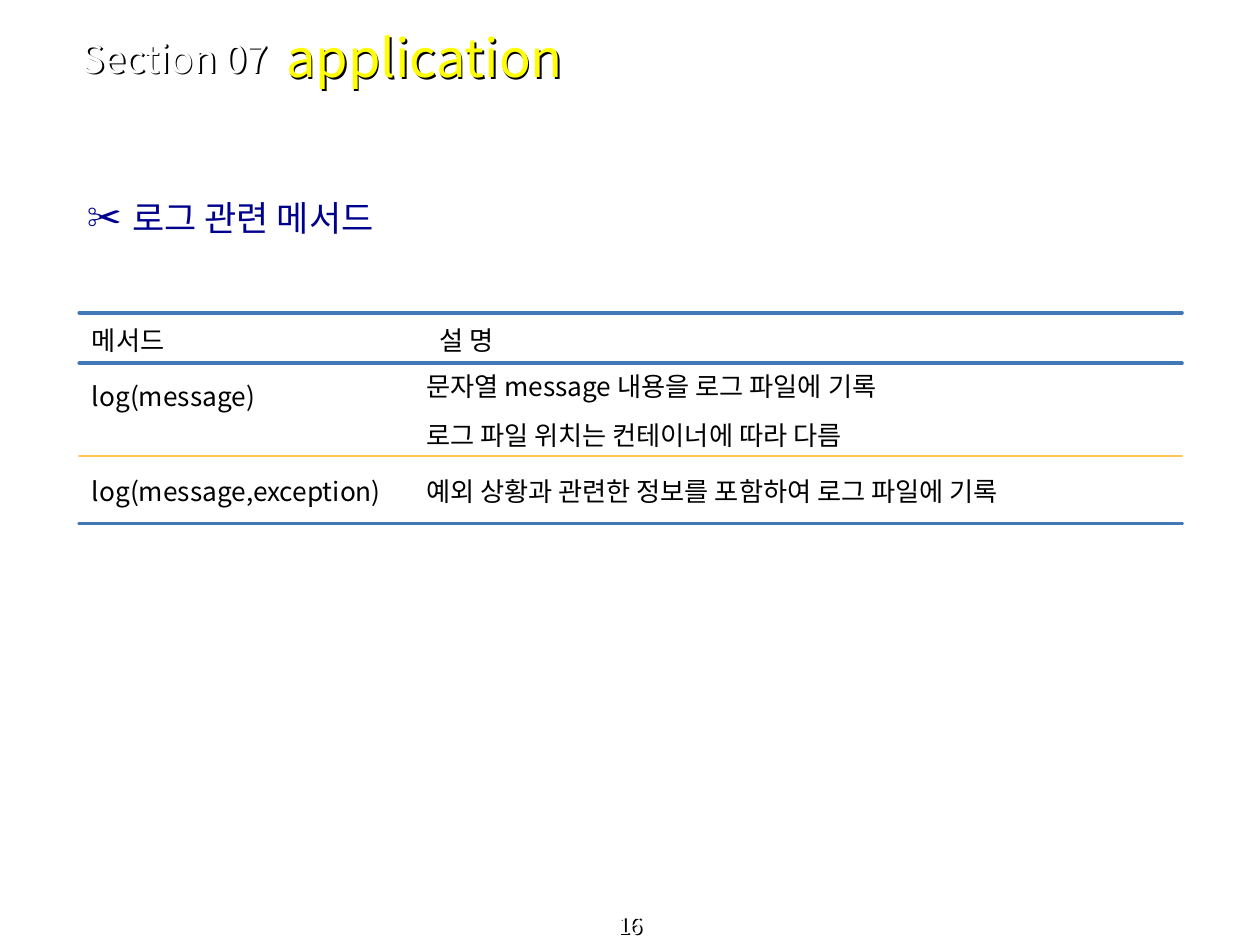
"""Builds a slide listing the log methods of the application object."""
from pptx import Presentation
from pptx.dml.color import RGBColor
from pptx.enum.shapes import MSO_CONNECTOR
from pptx.enum.text import MSO_ANCHOR, MSO_AUTO_SIZE, PP_ALIGN
from pptx.oxml.ns import qn
from pptx.util import Inches, Pt
from lxml import etree

TOP, MIDDLE, BOTTOM = MSO_ANCHOR.TOP, MSO_ANCHOR.MIDDLE, MSO_ANCHOR.BOTTOM
LEFT, CENTER = PP_ALIGN.LEFT, PP_ALIGN.CENTER
FIXED = MSO_AUTO_SIZE.NONE
STRAIGHT = MSO_CONNECTOR.STRAIGHT
WIDTH, HEIGHT = 10, 7.5
COLORS = {"white": "FFFFFF", "yellow": "FFFF00", "navy": "00008E",
          "black": "000000", "rule": "4378B6", "divider": "FFC551"}
SANS, NARROW = "Noto Sans CJK KR", "Arial Narrow"
PLAIN_TABLE = "{2D5ABB26-0587-4C30-8999-92F81FD0307C}"


def add_element(parent, tag, **attributes):
    return etree.SubElement(parent, qn(tag), attributes)


class SlideBuilder:
    """Holds the style and the current slide; lengths are shares of the slide."""

    def __init__(self, deck):
        self.slide = deck.slides.add_slide(deck.slide_layouts[1])

    def box(self, share):
        left, top, width, height = share
        return (Inches(left * WIDTH), Inches(top * HEIGHT),
                Inches(width * WIDTH), Inches(height * HEIGHT))

    def place(self, holder, share):
        holder.left, holder.top, holder.width, holder.height = self.box(share)

    def cast_shadow(self, holder):
        effects = add_element(holder._element.spPr, "a:effectLst")
        shadow = add_element(effects, "a:outerShdw", dist="17961", dir="2700000")
        add_element(shadow, "a:srgbClr", val=COLORS["black"])

    def format_runs(self, paragraph, size, color, font=SANS):
        for run in paragraph.runs:
            run.font.size = Pt(size)
            run.font.color.rgb = RGBColor.from_string(COLORS[color])
            run.font.name = font
            properties = run._r.get_or_add_rPr()
            properties.set("kern", "0")
            add_element(properties, "a:ea", typeface=font)

    def fill_frame(self, frame, text, size, color, anchor=MIDDLE, align=LEFT):
        frame.text = text
        frame.word_wrap = True
        frame.auto_size = FIXED
        frame.vertical_anchor = anchor
        paragraph = frame.paragraphs[0]
        paragraph.alignment = align
        self.format_runs(paragraph, size, color)
        return paragraph

    def title(self, text, share):
        heading = self.slide.shapes.title
        self.place(heading, share)
        self.fill_frame(heading.text_frame, text, 30, "yellow")
        heading.fill.background()
        self.cast_shadow(heading)

    def label(self, text, share, size, **layout):
        caption = self.slide.shapes.add_textbox(*self.box(share))
        self.fill_frame(caption.text_frame, text, size, "white", **layout)
        self.cast_shadow(caption)

    def topic(self, text, share, bullet):
        body = self.slide.placeholders[1]
        self.place(body, share)
        paragraph = self.fill_frame(body.text_frame, text, 20, "navy", TOP)
        paragraph.line_spacing = 2
        paragraph.space_before = Pt(0)
        properties = paragraph._p.get_or_add_pPr()
        properties.set("marL", str(Inches(0.46)))
        properties.set("indent", str(Inches(-0.36)))
        color = add_element(properties, "a:buClr")
        add_element(color, "a:srgbClr", val=COLORS["navy"])
        add_element(properties, "a:buChar", char=bullet)

    def rule(self, left, right, height, color, weight):
        x_start, x_end, y = Inches(left * WIDTH), Inches(right * WIDTH), Inches(height * HEIGHT)
        line = self.slide.shapes.add_connector(STRAIGHT, x_start, y, x_end, y)
        line.line.color.rgb = RGBColor.from_string(COLORS[color])
        line.line.width = Pt(weight)
        line.line._get_or_add_ln().set("cap", "rnd")
        add_element(line._element.spPr, "a:effectLst")

    def cell(self, cell, text, font, anchor, inset, drop):
        cell.text = text
        cell.vertical_anchor = anchor
        cell.margin_left, cell.margin_right = Inches(inset), Inches(0.1)
        cell.margin_top, cell.margin_bottom = Inches(drop), 0
        for index, paragraph in enumerate(cell.text_frame.paragraphs):
            paragraph.space_before = Pt(6 if index else 0)
            self.format_runs(paragraph, 15, "black", font)
        cell.fill.background()

    def table(self, rows, share, columns, heights, rules):
        left, top, width, height = share
        frame = self.slide.shapes.add_table(len(rows), len(columns), *self.box(share))
        methods = frame.table
        methods.first_row = methods.horz_banding = False
        methods._tbl.tblPr.find(qn("a:tableStyleId")).text = PLAIN_TABLE
        for column, part in zip(methods.columns, columns):
            column.width = Inches(part * width * WIDTH)
        for row, part in zip(methods.rows, heights):
            row.height = Inches(part * height * HEIGHT)
        for row, texts in enumerate(rows):
            for column, text in enumerate(texts):
                header = row == 0
                beside_pair = column == 0 and "\n" in texts[1]
                self.cell(methods.cell(row, column), text, NARROW if header else SANS,
                          TOP if beside_pair else MIDDLE,
                          0.21 if header and column else 0.1,
                          0.1 if beside_pair else 0.09 if header else 0)
        for index, (color, weight) in enumerate(rules):
            self.rule(left, left + width, top + height * sum(heights[:index]), color, weight)


def main():
    deck = Presentation()
    deck.slide_width, deck.slide_height = Inches(WIDTH), Inches(HEIGHT)
    page = SlideBuilder(deck)
    page.label("16", (0, 0.97, 1, 0.03), 13, anchor=BOTTOM, align=CENTER)
    page.topic("로그 관련 메서드", (0.049, 0.157, 0.9, 0.66), "✂")
    page.title("application", (0.217, 0.015, 0.65, 0.09))
    strong, light = ("rule", 2.25), ("divider", 1.5)
    page.table(
        [("메서드", "설 명"),
         ("log(message)", "문자열 message 내용을 로그 파일에 기록\n로그 파일 위치는 컨테이너에 따라 다름"),
         ("log(message,exception)", "예외 상황과 관련한 정보를 포함하여 로그 파일에 기록")],
        share=(0.063, 0.331, 0.875, 0.223), columns=(0.303, 0.697),
        heights=(0.24, 0.44, 0.32), rules=(strong, strong, light, strong))
    page.label("Section 07", (0.055, 0.036, 0.193, 0.05), 22)
    deck.save("out.pptx")


if __name__ == "__main__":
    main()
